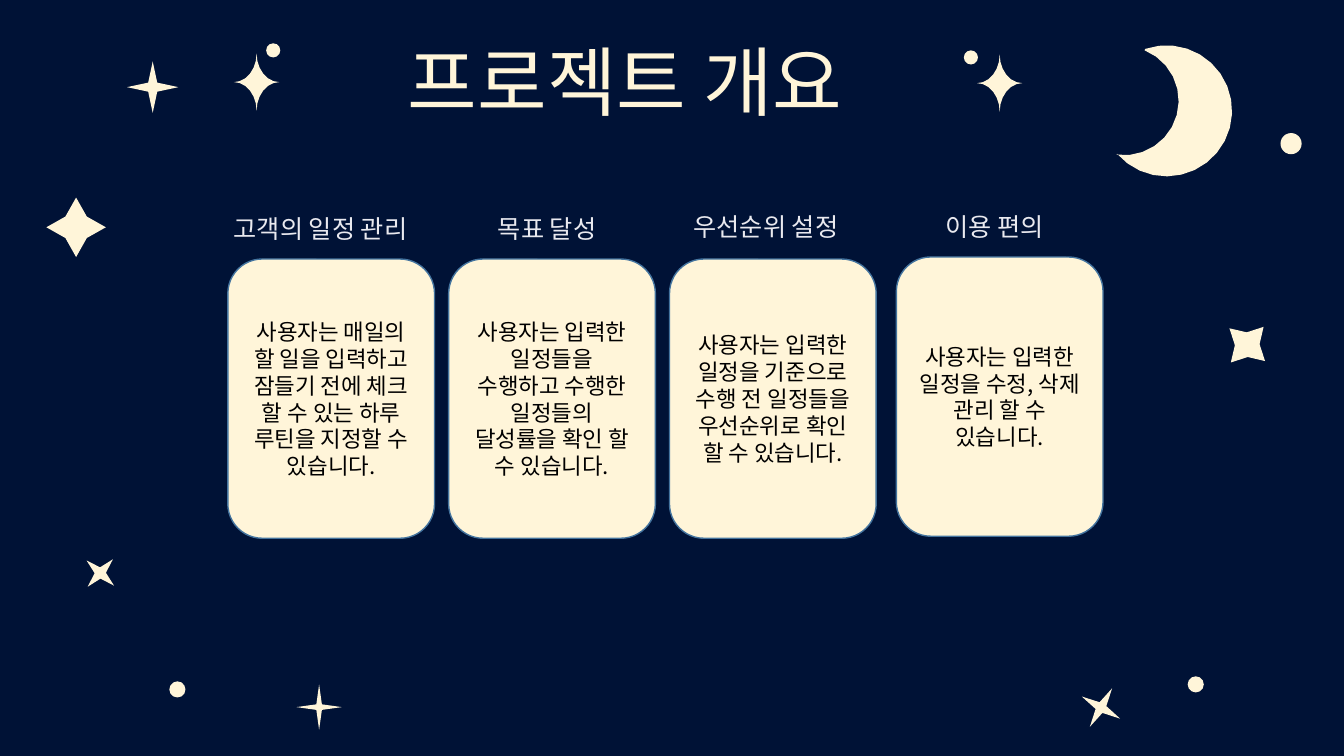
"""Build the project overview slide with a night sky and four cards."""
from math import cos, radians, sin

from lxml import etree
from pptx import Presentation
from pptx.dml.color import RGBColor
from pptx.enum.shapes import MSO_SHAPE
from pptx.enum.text import MSO_ANCHOR, MSO_AUTO_SIZE, PP_ALIGN
from pptx.oxml.ns import qn
from pptx.util import Inches, Pt

SKY = MSO_SHAPE.RECTANGLE
DOT = MSO_SHAPE.FLOWCHART_CONNECTOR
STAR = MSO_SHAPE.STAR_4_POINT
CARD = MSO_SHAPE.ROUNDED_RECTANGLE
MIDDLE = MSO_ANCHOR.MIDDLE
FIT_SHAPE = MSO_AUTO_SIZE.SHAPE_TO_FIT_TEXT
LEFT, CENTER = PP_ALIGN.LEFT, PP_ALIGN.CENTER

NIGHT = RGBColor(0x00, 0x12, 0x36)
CREAM = RGBColor(0xFF, 0xF5, 0xD9)
PALE = RGBColor(0xE9, 0xE9, 0xEF)
BORDER = RGBColor(0x43, 0x73, 0x9E)
BLACK = RGBColor(0, 0, 0)
KOREAN, LATIN = "Noto Sans CJK KR", "Calibri"

TITLE_FORMAT = {"size": Pt(54), "name": KOREAN}
CARD_FORMAT = {"size": Pt(16), "name": KOREAN}
LABEL_SIZE = Pt(18)
SLIDE_WIDTH, SLIDE_HEIGHT = 13.33, 7.5
CARD_WIDTH, CARD_HEIGHT = 2.05, 2.77

DOTS = [
    (12.7, 1.32, 0.21), (1.68, 6.76, 0.16), (11.78, 6.71, 0.16),
    (2.64, 0.43, 0.14), (9.56, 0.5, 0.14),
]
STARS = [
    (0.46, 1.96, 0.59, 0, 0.255), (12.13, 3.18, 0.48, 42.6, 0.255),
    (10.7, 6.8, 0.44, 30, 0.125), (0.81, 5.5, 0.37, 42.6, 0.151),
    (2.94, 6.79, 0.45, 0, 0.086), (1.26, 0.61, 0.51, 0, 0.125),
]
SPARKLES = [(2.32, 0.53), (9.69, 0.54)]
CARDS = [
    (2.26, 2.57, "사용자는 매일의 할 일을 입력하고 잠들기 전에 체크 할 수 있는 하루 루틴을 지정할 수 있습니다."),
    (4.45, 2.57, "사용자는 입력한 일정들을 수행하고 수행한 일정들의 달성률을 확인 할 수 있습니다."),
    (6.64, 2.57, "사용자는 입력한 일정을 기준으로 수행 전 일정들을 우선순위로 확인 할 수 있습니다."),
    (8.89, 2.55, "사용자는 입력한 일정을 수정, 삭제 관리 할 수 있습니다."),
]
LABELS = [
    (2.22, 2.07, 2.13, 0.71, KOREAN, "고객의 일정 관리"),
    (4.84, 2.07, 1.27, 0.4, LATIN, "목표 달성"),
    (6.78, 2.05, 1.77, 0.4, LATIN, "우선순위 설정"),
    (9.28, 2.05, 1.27, 0.4, LATIN, "이용 편의"),
]


def paint(shape, color=CREAM):
    """Give a shape a plain fill without line or shadow."""
    shape.shadow.inherit = False
    shape.fill.solid()
    shape.fill.fore_color.rgb = color
    shape.line.fill.background()


def add_preset(slide, kind, left, top, width, height, color=CREAM):
    """Add a plain preset shape."""
    box = [Inches(value) for value in (left, top, width, height)]
    shape = slide.shapes.add_shape(kind, *box)
    paint(shape, color)
    return shape


def add_star(slide, left, top, size, rotation, depth):
    """Add a four-pointed star."""
    star = add_preset(slide, STAR, left, top, size, size)
    star.rotation = rotation
    star.adjustments[0] = depth


def arc(center_x, center_y, radius_x, radius_y, start, end, steps):
    """Return points along an elliptical arc between two angles in degrees."""
    angles = [radians(start + (end - start) * step / steps) for step in range(steps + 1)]
    return [(center_x + radius_x * cos(angle), center_y + radius_y * sin(angle)) for angle in angles]


def add_outline(slide, points):
    """Add a closed cream outline through points given in inches."""
    corners = [(Inches(x), Inches(y)) for x, y in points]
    builder = slide.shapes.build_freeform(*corners[0])
    builder.add_line_segments(corners[1:], close=True)
    paint(builder.convert_to_shape())


def add_moon(slide):
    """Add the crescent between two circles."""
    outer = arc(11.57, 1.1, 0.65, 0.65, -109, 139, 20)
    inner = arc(11.15, 1, 0.54, 0.54, 98, -68, 12)
    add_outline(slide, outer + inner)


def add_sparkle(slide, left, top, width=0.45, height=0.57):
    """Add a star whose sides are arcs around the corners of its box."""
    right, bottom = left + width, top + height
    corners = [(right, top, 180), (right, bottom, 270), (left, bottom, 360), (left, top, 90)]
    points = []
    for corner_x, corner_y, start in corners:
        side = arc(corner_x, corner_y, width / 2, height / 2, start, start - 90, 6)
        points += side[:-1]
    add_outline(slide, points)


def write_text(shape, text, color, formats, alignment=CENTER):
    """Write one formatted paragraph into a shape."""
    paragraph = shape.text_frame.paragraphs[0]
    paragraph.alignment = alignment
    run = paragraph.add_run()
    run.text = text
    for name, value in formats.items():
        setattr(run.font, name, value)
    run.font.color.rgb = color
    properties = run.font._element
    etree.SubElement(properties, qn("a:ea"), typeface=formats["name"])


def add_text(slide, box, text, color, formats, alignment, wrap):
    """Add a text box that grows with its text."""
    textbox = slide.shapes.add_textbox(*[Inches(value) for value in box])
    textbox.text_frame.word_wrap = wrap
    textbox.text_frame.auto_size = FIT_SHAPE
    write_text(textbox, text, color, formats, alignment)


def add_card(slide, left, top, text):
    """Add a rounded card with centred text."""
    card = add_preset(slide, CARD, left, top, CARD_WIDTH, CARD_HEIGHT)
    card.line.color.rgb = BORDER
    card.line.width = Pt(1)
    card.text_frame.word_wrap = True
    card.text_frame.vertical_anchor = MIDDLE
    write_text(card, text, BLACK, CARD_FORMAT)


def main():
    """Build and save the presentation."""
    presentation = Presentation()
    presentation.slide_width = Inches(SLIDE_WIDTH)
    presentation.slide_height = Inches(SLIDE_HEIGHT)
    slide = presentation.slides.add_slide(presentation.slide_layouts[6])
    add_preset(slide, SKY, 0, 0, SLIDE_WIDTH, SLIDE_HEIGHT, NIGHT)
    add_moon(slide)
    for left, top, size in DOTS:
        add_preset(slide, DOT, left, top, size, size)
    for star in STARS:
        add_star(slide, *star)
    for sparkle in SPARKLES:
        add_sparkle(slide, *sparkle)
    add_text(slide, (2.48, 0.3, 7.44, 1.01), "프로젝트 개요", CREAM, TITLE_FORMAT, CENTER, True)
    for card in CARDS:
        add_card(slide, *card)
    for *box, font_name, text in LABELS:
        formats = {"size": LABEL_SIZE, "name": font_name}
        add_text(slide, box, text, PALE, formats, LEFT, False)
    presentation.save("out.pptx")


if __name__ == "__main__":
    main()
